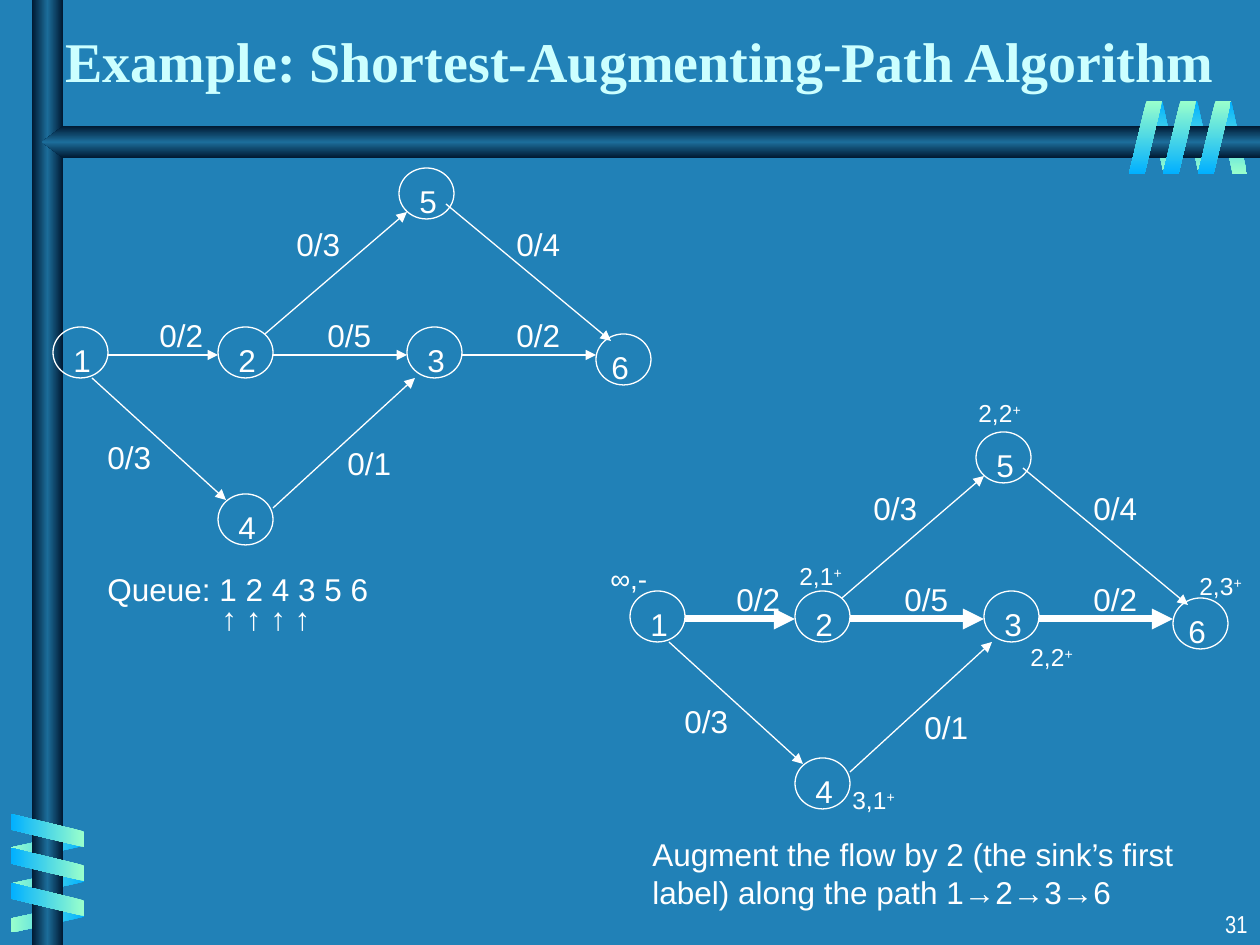
from copy import deepcopy

from pptx import Presentation
from pptx.dml.color import RGBColor
from pptx.enum.shapes import MSO_CONNECTOR, MSO_SHAPE
from pptx.enum.text import MSO_ANCHOR, MSO_AUTO_SIZE, PP_ALIGN
from pptx.oxml.ns import qn
from pptx.oxml.xmlchemy import OxmlElement
from pptx.util import Inches, Pt

PX = 7257
THEME = {
    "bg": RGBColor.from_string("2181B7"),
    "text": RGBColor.from_string("FFFFFF"),
    "title": RGBColor.from_string("CCFFFF"),
    "bar": ["001932", "1C6D9A", "001932"],
    "front": ["99FFCC", "01B0FF"],
    "back": ["01B0FF", "99FFCC"],
    "title_pt": 32, "body_pt": 18, "source_pt": 16, "label_pt": 14,
    "thin_pt": 0.75, "thick_pt": 4,
    "head_font": "Times New Roman", "font": "Arial", "num_font": "Arial Narrow",
}


def write(text, x, y, w, h, size=THEME["body_pt"], font=THEME["font"], color=THEME["text"],
          bold=False, align=PP_ALIGN.LEFT, anchor=MSO_ANCHOR.TOP, wrap=True,
          fit=MSO_AUTO_SIZE.SHAPE_TO_FIT_TEXT, sup="", shape=None):
    tb = shape or s.shapes.add_textbox(0, 0, 0, 0)
    tb.left, tb.top, tb.width, tb.height = x * PX, y * PX, w * PX, h * PX
    tf = tb.text_frame
    tf.word_wrap, tf.auto_size, tf.vertical_anchor = wrap, fit, anchor
    for i, line in enumerate(text.split("\n")):
        p = tf.add_paragraph() if i else tf.paragraphs[0]
        p.alignment = align
        for part in filter(None, [line, sup]):
            r = p.add_run()
            r.text = part
            r.font.size, r.font.name, r.font.bold = Pt(size), font, bold
            r.font.color.rgb = color
            if part == sup:
                r._r.get_or_add_rPr().set("baseline", "30000")
    return tf


def shade(shape, colors, angle):
    shape.shadow.inherit = False
    shape.line.fill.background()
    shape.fill.gradient()
    shape.fill.gradient_angle = angle
    if len(colors) == 3:
        first = shape._element.spPr.find(qn("a:gradFill")).find(qn("a:gsLst"))[0]
        middle = deepcopy(first)
        middle.set("pos", "50000")
        first.addnext(middle)
    for stop, color in zip(shape.fill.gradient_stops, colors):
        stop.color.rgb = RGBColor.from_string(color)


prs = Presentation()
prs.slide_width, prs.slide_height = Inches(10), Inches(7.5)
s = prs.slides.add_slide(prs.slide_layouts[5])
s.background.fill.solid()
s.background.fill.fore_color.rgb = THEME["bg"]

top_back = [(1217, 101), (1183, 101), (1148, 101)]
side_back = [(33, 810), (33, 846), (33, 881)]
side_front = [(31, 794), (31, 828), (31, 863)]
top_front = [(1198, 101), (1163, 101), (1129, 101)]
ribbons = [
    (top_back, 30, 180, True, "back", 90),
    (side_back, 30, 90, True, "back", 270),
    (side_front, 33, 270, False, "front", 90),
    (top_front, 33, 0, False, "front", 270),
]
for i, (places, width, rotation, flip, colors, angle) in enumerate(ribbons):
    if i == 2:
        bar = s.shapes.add_shape(MSO_SHAPE.RECTANGLE, 32 * PX, 0, 31 * PX, 945 * PX)
        shade(bar, THEME["bar"], 180)
        fb = s.shapes.build_freeform(1260, 126, scale=PX)
        fb.add_line_segments([(63, 126), (42, 142), (63, 158), (1260, 158)], close=True)
        shade(fb.convert_to_shape(), THEME["bar"], 270)
    for x, y in places:
        ribbon = s.shapes.add_shape(MSO_SHAPE.PARALLELOGRAM, x * PX, y * PX, width * PX, 73 * PX)
        ribbon.adjustments[0] = 0.53
        ribbon.rotation = rotation
        if flip:
            ribbon._element.spPr.xfrm.set("flipH", "1")
        shade(ribbon, THEME[colors], angle)

write("Example: Shortest-Augmenting-Path Algorithm", 53, 21, 1176, 79, size=THEME["title_pt"],
      font=THEME["head_font"], color=THEME["title"], bold=True, anchor=MSO_ANCHOR.BOTTOM,
      fit=MSO_AUTO_SIZE.NONE, shape=s.shapes.title)

tf = write("Queue: 1 2 4 3 5 6\n↑ ↑ ↑ ↑", 95, 588, 305, 52)
for p in tf.paragraphs:
    p.line_spacing = 0.25
p.space_before = Pt(11.2)
p._p.get_or_add_pPr().set("marL", str(114 * PX))
write("Augment the flow by 2 (the sink’s first label) along the path 1→2→3→6", 640, 829, 577, 88)

nodes = {"1": (53, 327), "4": (218, 494), "3": (407, 327),
         "2": (218, 327), "5": (399, 168), "6": (596, 334)}
edges = [
    ("1-4", 92, 378, 226, 500), ("1-2", 108, 355, 218, 355), ("2-5", 265, 334, 407, 212),
    ("2-3", 273, 355, 407, 355), ("4-3", 273, 508, 415, 378), ("3-6", 462, 355, 596, 355),
    ("5-6", 446, 204, 611, 341),
]
weights = [
    ("0/2", 147, 310), ("0/2", 504, 310), ("0/3", 95, 432), ("0/1", 335, 438),
    ("0/5", 315, 310), ("0/3", 284, 219), ("0/4", 504, 219),
]
graphs = [(0, 0, []), (577, 264, ["1-2", "2-3", "3-6"])]
for dx, dy, augmenting in graphs:
    for x, y in nodes.values():
        node = s.shapes.add_shape(MSO_SHAPE.OVAL, (x + dx) * PX, (y + dy) * PX, 55 * PX, 51 * PX)
        node.shadow.inherit = False
        node.fill.background()
        node.line.color.rgb = THEME["text"]
        node.line.width = Pt(THEME["thin_pt"])
    for edge, x1, y1, x2, y2 in edges:
        arrow = s.shapes.add_connector(MSO_CONNECTOR.STRAIGHT, (x1 + dx) * PX, (y1 + dy) * PX,
                                       (x2 + dx) * PX, (y2 + dy) * PX)
        arrow.line.color.rgb = THEME["text"]
        arrow.line.width = Pt(THEME["thick_pt" if edge in augmenting else "thin_pt"])
        tail = OxmlElement("a:tailEnd")
        tail.set("type", "triangle")
        arrow.line._get_or_add_ln().append(tail)
        arrow._element.spPr.append(OxmlElement("a:effectLst"))
    for name, (x, y) in nodes.items():
        indent = 3 if name == "6" else 8
        write(name, x + indent + dx, y + 8 + dy, 43, 50, wrap=False)
    for text, x, y in weights:
        write(text, x + dx, y + dy, 69, 50, wrap=False)

write("∞,-", 598, 555, 63, 47, size=THEME["source_pt"])
labels = [("2,1", 787, 555), ("2,2", 966, 392), ("2,3", 1187, 565),
          ("2,2", 1018, 636), ("3,1", 840, 779)]
for text, x, y in labels:
    write(text, x, y, 73, 43, size=THEME["label_pt"], sup="+")

write("31", 998, 903, 262, 42, size=THEME["label_pt"], font=THEME["num_font"],
      align=PP_ALIGN.RIGHT, fit=MSO_AUTO_SIZE.NONE)

prs.save("out.pptx")
